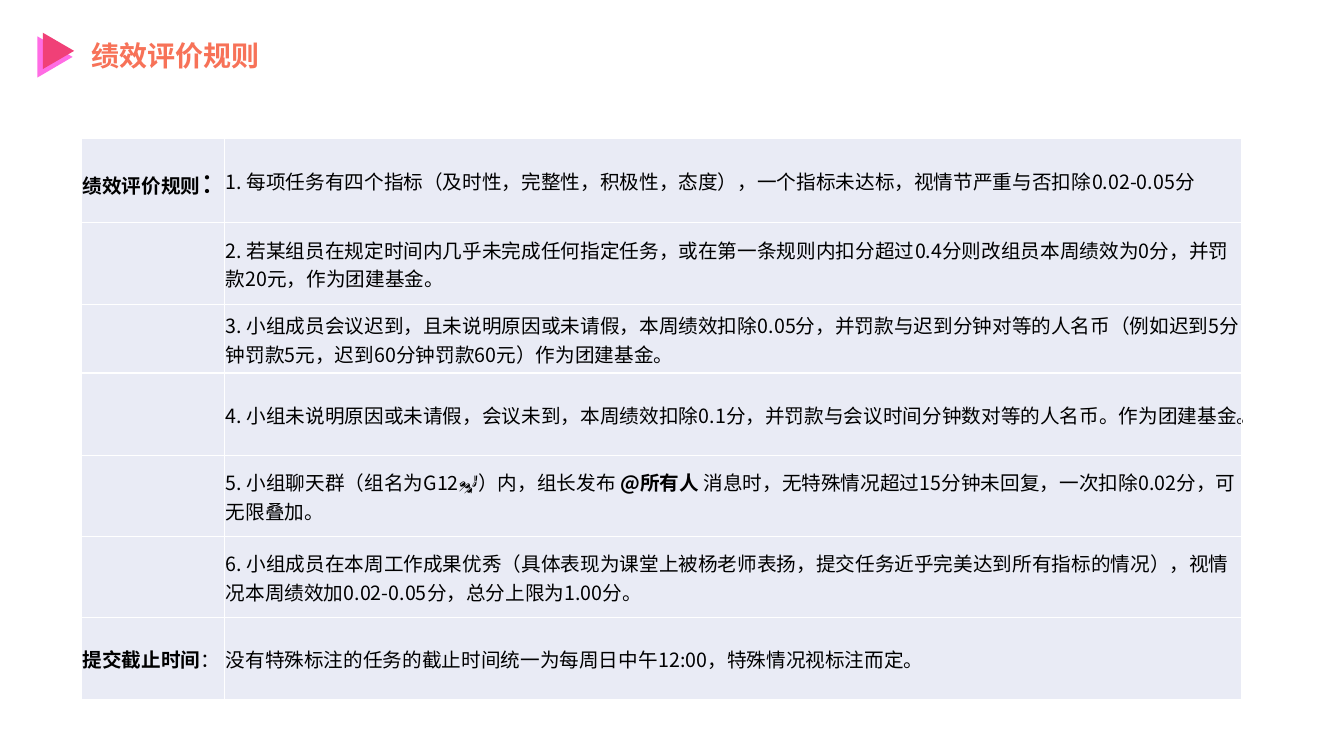
from lxml import etree
from pptx import Presentation
from pptx.dml.color import RGBColor
from pptx.enum.shapes import MSO_SHAPE
from pptx.enum.text import MSO_ANCHOR, MSO_AUTO_SIZE, PP_ALIGN
from pptx.oxml.ns import qn
from pptx.util import Inches, Pt

TRIANGLE = MSO_SHAPE.ISOSCELES_TRIANGLE
MIDDLE = MSO_ANCHOR.MIDDLE
GROW = MSO_AUTO_SIZE.SHAPE_TO_FIT_TEXT
LEFT, JUSTIFY = PP_ALIGN.LEFT, PP_ALIGN.JUSTIFY

FONT = "Noto Sans CJK SC"
BLACK, WHITE = "000000", "FFFFFF"
TITLE_COLOR, CELL_COLOR = "F77258", "E9EBF5"

TITLE = "绩效评价规则"
ARROWS = [
    (0.34, 0.39, 0.41, 0.35, "FF6CE4"),
    (0.4, 0.35, 0.36, 0.31, "F04077"),
]

COLUMN_WIDTHS = [1.42, 10.08]
ROW_HEIGHTS = [0.84, 0.81, 0.68, 0.82, 0.8, 0.81, 0.81]
RULES = [
    ([("绩效评价规则", 14, True), ("：", 20, False)],
     [("1. 每项任务有四个指标（及时性，完整性，积极性，态度），一个指标未达标，视情节严重与否扣除0.02-0.05分", 14, False)]),
    ([],
     [("2. 若某组员在规定时间内几乎未完成任何指定任务，或在第一条规则内扣分超过0.4分则改组员本周绩效为0分，并罚款20元，作为团建基金。", 14, False)]),
    ([],
     [("3. 小组成员会议迟到，且未说明原因或未请假，本周绩效扣除0.05分，并罚款与迟到分钟对等的人名币（例如迟到5分钟罚款5元，迟到60分钟罚款60元）作为团建基金。", 14, False)]),
    ([],
     [("4. 小组未说明原因或未请假，会议未到，本周绩效扣除0.1分，并罚款与会议时间分钟数对等的人名币。作为团建基金。", 14, False)]),
    ([],
     [("5. 小组聊天群（组名为G12💅）内，组长发布 ", 14, False),
      ("@所有人 ", 14, True),
      ("消息时，无特殊情况超过15分钟未回复，一次扣除0.02分，可无限叠加。", 14, False)]),
    ([],
     [("6. 小组成员在本周工作成果优秀（具体表现为课堂上被杨老师表扬，提交任务近乎完美达到所有指标的情况），视情况本周绩效加0.02-0.05分，总分上限为1.00分。", 14, False)]),
    ([("提交截止时间", 14, True), ("：", 14, False)],
     [("没有特殊标注的任务的截止时间统一为每周日中午12:00，特殊情况视标注而定。", 14, False)]),
]


def color(value):
    return RGBColor.from_string(value)


def add_runs(paragraph, runs, text_color):
    for text, size, bold in runs:
        run = paragraph.add_run()
        run.text = text
        font = run.font
        font.size, font.bold, font.name = Pt(size), bold, FONT
        font.color.rgb = color(text_color)
        etree.SubElement(run._r.get_or_add_rPr(), qn("a:ea"), typeface=FONT)


def add_borders(cell):
    properties = cell._tc.get_or_add_tcPr()
    for side in ("a:lnL", "a:lnR", "a:lnT", "a:lnB"):
        line = etree.SubElement(properties, qn(side), w=str(Pt(1)))
        fill = etree.SubElement(line, qn("a:solidFill"))
        etree.SubElement(fill, qn("a:srgbClr"), val=WHITE)


def fill_cell(cell, runs, alignment):
    add_borders(cell)
    cell.fill.solid()
    cell.fill.fore_color.rgb = color(CELL_COLOR)
    cell.vertical_anchor = MIDDLE
    cell.margin_left = cell.margin_right = cell.margin_top = Inches(0.01)
    cell.margin_bottom = 0
    paragraph = cell.text_frame.paragraphs[0]
    paragraph.alignment = alignment
    add_runs(paragraph, runs, BLACK)


deck = Presentation()
deck.slide_width, deck.slide_height = Inches(13.33), Inches(7.5)
slide = deck.slides.add_slide(deck.slide_layouts[6])

arrow_group = slide.shapes.add_group_shape()
for left, top, width, height, fill_color in ARROWS:
    arrow = arrow_group.shapes.add_shape(
        TRIANGLE, Inches(left), Inches(top), Inches(width), Inches(height))
    arrow.rotation = 90
    arrow.shadow.inherit = False
    arrow.fill.solid()
    arrow.fill.fore_color.rgb = color(fill_color)
    arrow.line.fill.background()

title = slide.shapes.add_textbox(Inches(0.81), Inches(0.33), Inches(3.3), Inches(0.44))
title.text_frame.word_wrap = True
title.text_frame.auto_size = GROW
add_runs(title.text_frame.paragraphs[0], [(TITLE, 20, True)], TITLE_COLOR)

rules = slide.shapes.add_table(
    len(RULES), len(COLUMN_WIDTHS), Inches(0.81), Inches(1.37),
    Inches(sum(COLUMN_WIDTHS)), Inches(sum(ROW_HEIGHTS))).table
for column, width in zip(rules.columns, COLUMN_WIDTHS):
    column.width = Inches(width)
for index, (height, (heading, rule)) in enumerate(zip(ROW_HEIGHTS, RULES)):
    rules.rows[index].height = Inches(height)
    is_last = index == len(RULES) - 1
    fill_cell(rules.cell(index, 0), heading, LEFT)
    fill_cell(rules.cell(index, 1), rule, JUSTIFY if is_last else LEFT)

deck.save("out.pptx")
